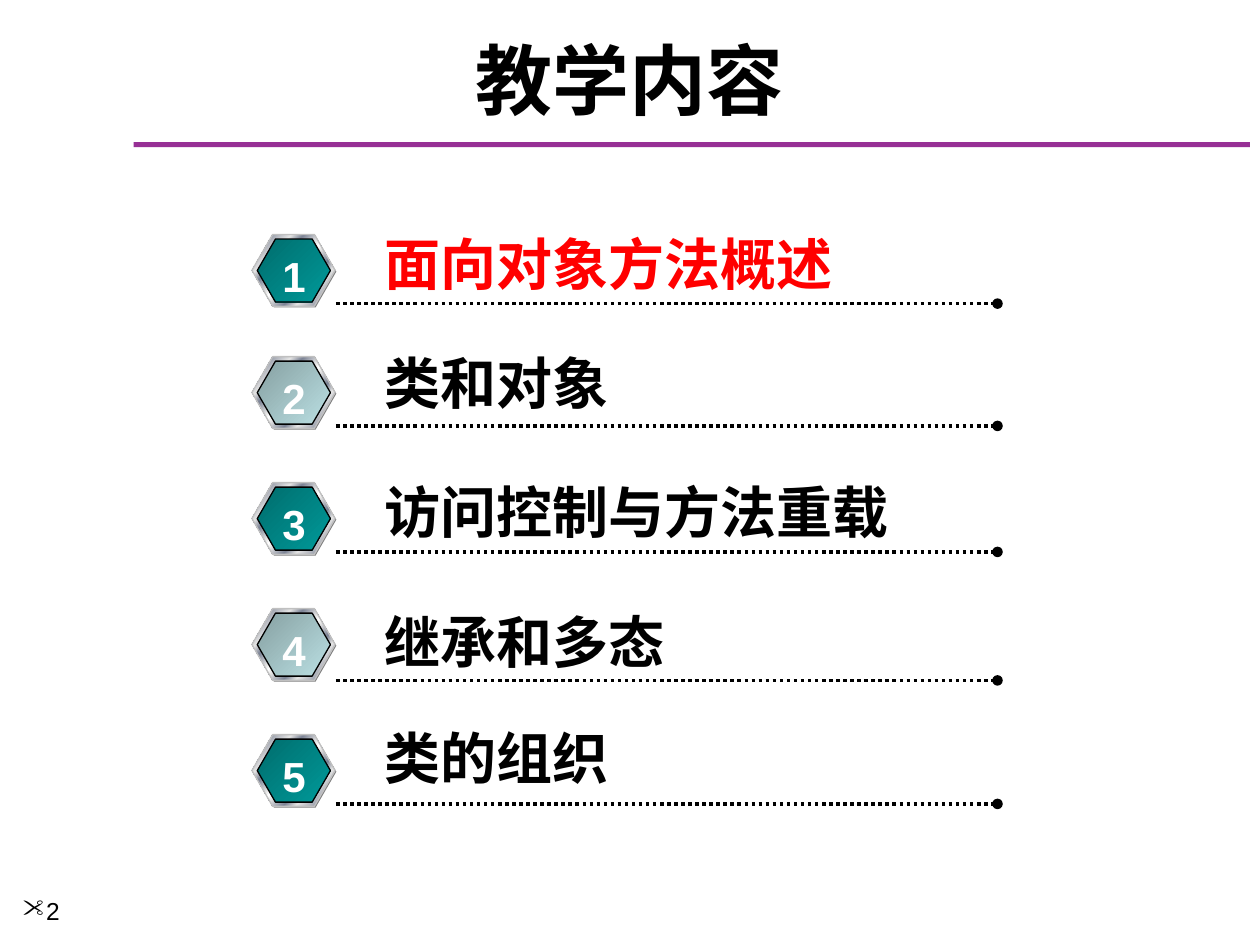
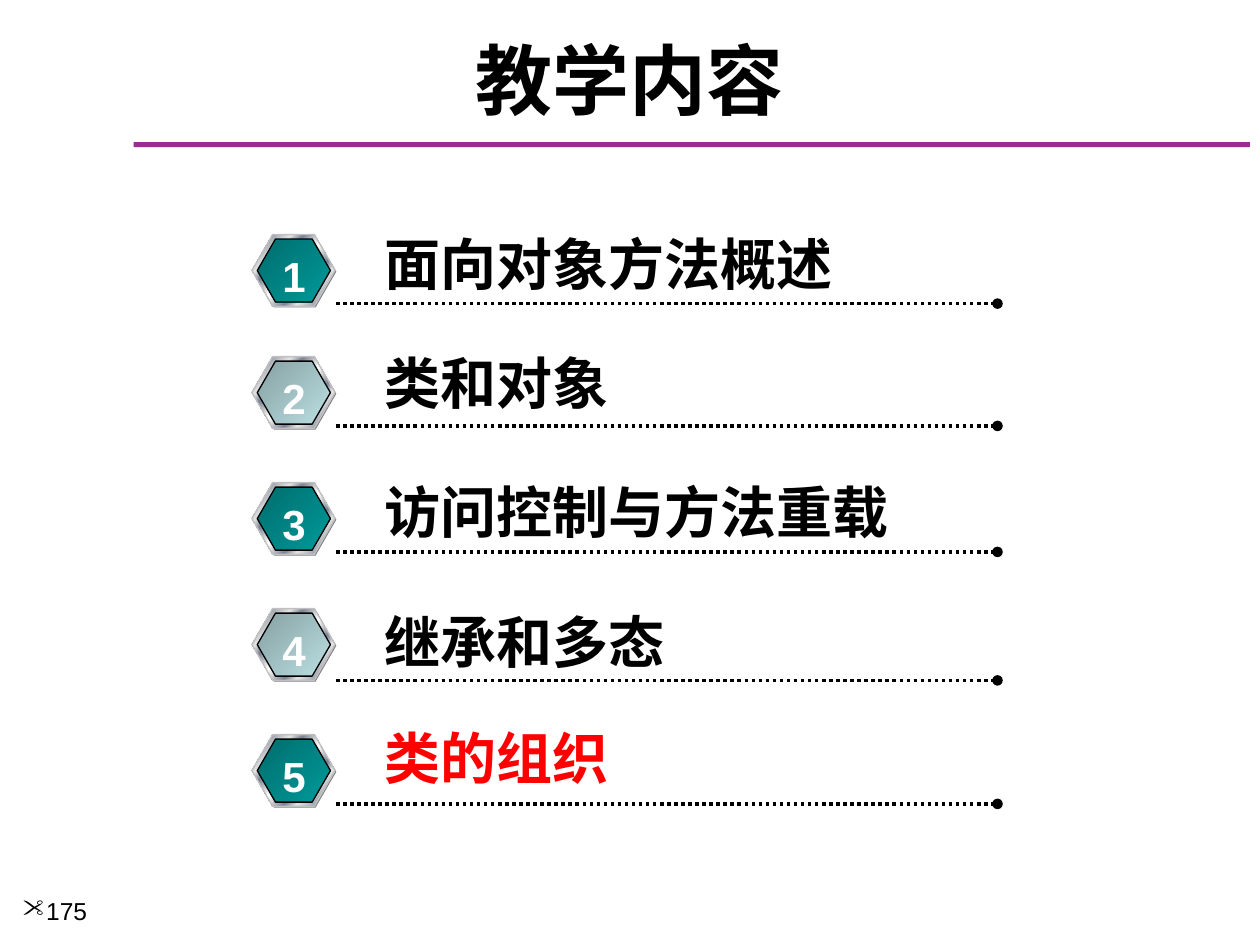
from collections import namedtuple

from lxml import etree
from pptx import Presentation
from pptx.dml.color import RGBColor
from pptx.enum.dml import MSO_LINE
from pptx.enum.shapes import MSO_CONNECTOR, MSO_SHAPE
from pptx.enum.text import MSO_ANCHOR, PP_ALIGN
from pptx.oxml.ns import qn
from pptx.util import Pt

HEXAGON, RECTANGLE = MSO_SHAPE.HEXAGON, MSO_SHAPE.RECTANGLE
STRAIGHT = MSO_CONNECTOR.STRAIGHT
DOTTED = MSO_LINE.ROUND_DOT
LEFT, CENTER = PP_ALIGN.LEFT, PP_ALIGN.CENTER
TOP, MIDDLE = MSO_ANCHOR.TOP, MSO_ANCHOR.MIDDLE

BLACK = RGBColor(0x00, 0x00, 0x00)
WHITE = RGBColor(0xFF, 0xFF, 0xFF)
RED = RGBColor(0xFF, 0x00, 0x00)
PURPLE = RGBColor(0x97, 0x30, 0x95)
GRAY = RGBColor(0x80, 0x80, 0x80)
SILVER = RGBColor(0xC0, 0xC0, 0xC0)
LIGHT_STEEL = RGBColor(0xE6, 0xE6, 0xE6)
DARK_STEEL = RGBColor(0x7D, 0x84, 0x96)
DEEP_TEAL = RGBColor(0x00, 0x6D, 0x6D)
TEAL = RGBColor(0x00, 0x99, 0x99)
DEEP_MIST = RGBColor(0x86, 0xA0, 0xA2)
MIST = RGBColor(0xBB, 0xE0, 0xE3)

METAL = [(0, LIGHT_STEEL), (8, DARK_STEEL), (26, LIGHT_STEEL), (34, DARK_STEEL),
         (46, LIGHT_STEEL), (50, WHITE), (54, LIGHT_STEEL), (66, DARK_STEEL),
         (74, LIGHT_STEEL), (92, DARK_STEEL), (100, LIGHT_STEEL)]
BADGE_FACES = [[(0, DEEP_TEAL), (100, TEAL)], [(0, DEEP_MIST), (100, MIST)]]

LATIN_FONT = "Arial"
CJK_FONT = "Noto Sans CJK SC"

Topic = namedtuple("Topic", "title title_top title_width badge_top rule_y")
TOPICS = [
    Topic("面向对象方法概述", 127.4, 274.3, 134, 173.5),
    Topic("类和对象", 195.8, 144, 203.8, 243.4),
    Topic("访问控制与方法重载", 269.3, 306.7, 275.8, 315.4),
    Topic("继承和多态", 343.4, 176.4, 347.8, 388.8),
    Topic("类的组织", 409.7, 144, 419.8, 459.4),
]
AGENDAS = [(2, 1), (175, 5)]


def add_text(shapes, text, box, size, color, bold=True, align=LEFT,
             anchor=TOP, wrap=True, font=LATIN_FONT):
    frame = shapes.add_textbox(*map(Pt, box)).text_frame
    frame.word_wrap = wrap
    frame.vertical_anchor = anchor
    frame.text = text
    paragraph = frame.paragraphs[0]
    paragraph.alignment = align
    run = paragraph.runs[0]
    run.font.size = Pt(size)
    run.font.bold = bold
    run.font.color.rgb = color
    run.font.name = font
    east_asian = etree.SubElement(run.font._element, qn("a:ea"))
    east_asian.set("typeface", CJK_FONT)
    return paragraph


def apply_gradient(fill, stops):
    fill.gradient()
    fill.gradient_angle = 315
    stop_list = fill._xPr.find(qn("a:gradFill")).find(qn("a:gsLst"))
    for old_stop in list(stop_list):
        stop_list.remove(old_stop)
    for percent, color in stops:
        stop = etree.SubElement(stop_list, qn("a:gs"), pos=str(percent * 1000))
        etree.SubElement(stop, qn("a:srgbClr"), val=str(color))


def add_hexagon(shapes, box, line_color=None):
    hexagon = shapes.add_shape(HEXAGON, *map(Pt, box))
    hexagon.shadow.inherit = False
    hexagon.adjustments[0] = 0.289
    hexagon.adjustments[1] = 1.155
    if line_color is None:
        hexagon.line.fill.background()
    else:
        hexagon.line.color.rgb = line_color
        hexagon.line.width = Pt(0.75)
    return hexagon.fill


def add_badge(slide, number, top):
    badge = slide.shapes.add_group_shape().shapes
    backing = add_hexagon(badge, (144.7, top + 0.7, 47.5, 41))
    backing.solid()
    backing.fore_color.rgb = GRAY
    apply_gradient(add_hexagon(badge, (144, top, 47.5, 41), SILVER), METAL)
    apply_gradient(add_hexagon(badge, (147, top + 2.6, 41.8, 36), BLACK),
                   BADGE_FACES[(number - 1) % 2])
    add_text(badge, str(number), (154, top + 5.5, 28.1, 36), 24, WHITE,
             align=CENTER, wrap=False)


def add_dotted_rule(slide, y):
    rule = slide.shapes.add_connector(STRAIGHT, Pt(192), Pt(y), Pt(570), Pt(y))
    rule.line.color.rgb = BLACK
    rule.line.width = Pt(2)
    rule.line.dash_style = DOTTED
    etree.SubElement(rule.line._get_or_add_ln(), qn("a:tailEnd"), type="oval")
    etree.SubElement(rule._element.spPr, qn("a:effectLst"))


def add_topic(slide, number, topic, color):
    add_dotted_rule(slide, topic.rule_y)
    add_text(slide.shapes, topic.title,
             (212.4, topic.title_top, topic.title_width, 46), 32, color, wrap=False)
    add_badge(slide, number, topic.badge_top)


def add_header(slide, title):
    band = slide.shapes.add_shape(RECTANGLE, Pt(76.3), Pt(81.2), Pt(638), Pt(2.9))
    band.shadow.inherit = False
    band.fill.solid()
    band.fill.fore_color.rgb = PURPLE
    band.line.fill.background()
    add_text(slide.shapes, title, (12, 18, 696, 54), 44, BLACK, align=CENTER,
             anchor=MIDDLE, font=CJK_FONT)


def add_page_number(slide, number):
    paragraph = add_text(slide.shapes, str(number), (5.8, 508.3, 77.8, 31.7), 14,
                         BLACK, bold=False)
    properties = paragraph._p.get_or_add_pPr()
    properties.set("marL", str(Pt(13)))
    properties.set("indent", str(-Pt(13)))
    etree.SubElement(properties, qn("a:buFont"), typeface="Wingdings", charset="2")
    etree.SubElement(properties, qn("a:buChar"), char='"')


def add_agenda(deck, page, current):
    slide = deck.slides.add_slide(deck.slide_layouts[6])
    add_header(slide, "教学内容")
    add_page_number(slide, page)
    for number, topic in enumerate(TOPICS, 1):
        add_topic(slide, number, topic, RED if number == current else BLACK)


def main():
    deck = Presentation()
    deck.slide_width, deck.slide_height = Pt(720), Pt(540)
    for page, current in AGENDAS:
        add_agenda(deck, page, current)
    deck.save("out.pptx")


if __name__ == "__main__":
    main()
